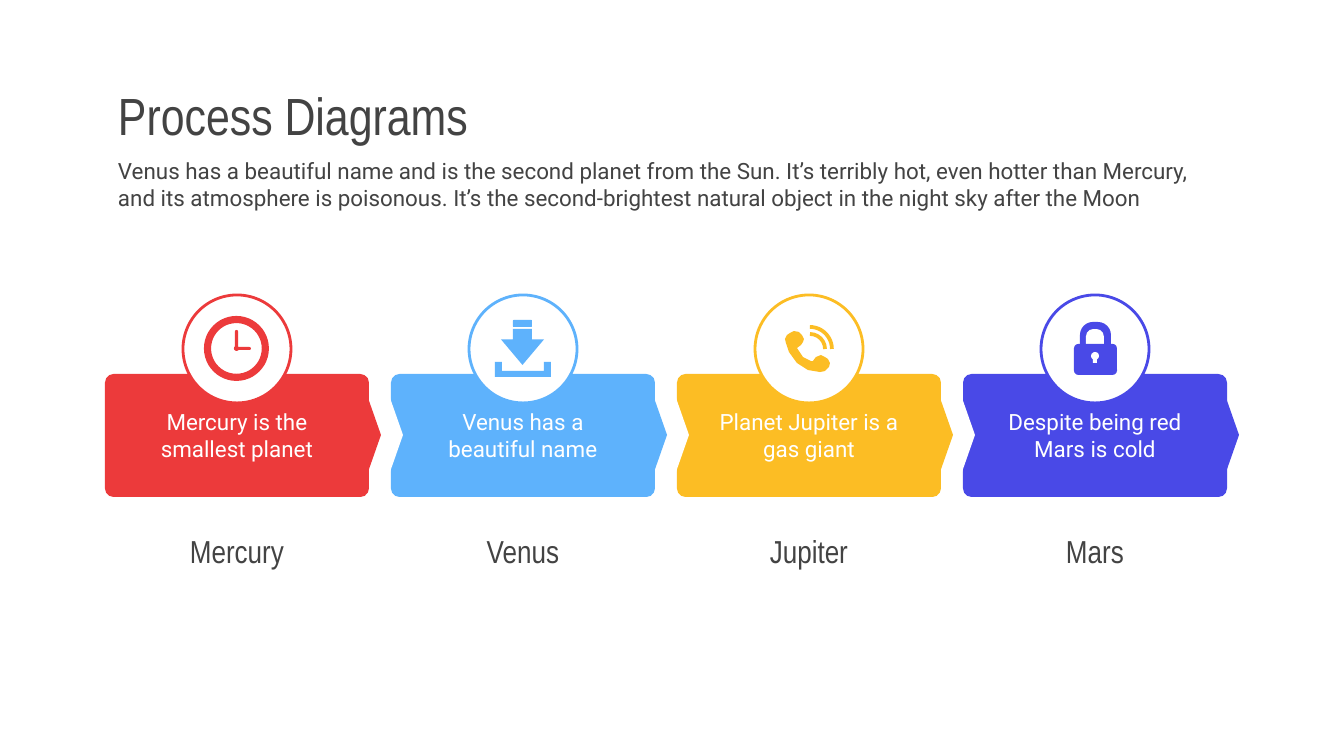
from pptx import Presentation
from pptx.dml.color import RGBColor
from pptx.enum.shapes import MSO_SHAPE as M
from pptx.enum.text import MSO_ANCHOR, PP_ALIGN
from pptx.util import Pt

PX = 914400 / 134.4
DARK, WHITE = "434343", "FFFFFF"
HEAD = {"name": "Arial Narrow", "size": Pt(28)}
LABEL = {"name": "Arial Narrow", "size": Pt(17)}
BODY = {"name": "Roboto", "size": Pt(12)}

prs = Presentation()
prs.slide_width, prs.slide_height = round(1344 * PX), round(756 * PX)
s = prs.slides.add_slide(prs.slide_layouts[6])


def draw(shapes, kind, box, fill, line=None, width=1.5, adj=()):
    """Add a preset shape, or a closed polygon when kind is a list of points."""
    if isinstance(kind, list):
        fb = shapes.build_freeform(*kind[0], scale=PX)
        fb.add_line_segments(kind[1:])
        sp = fb.convert_to_shape()
    else:
        sp = shapes.add_shape(kind, *[round(v * PX) for v in box])
    sp.shadow.inherit = False
    for i, a in enumerate(adj):
        sp.adjustments[i] = a
    if fill:
        sp.fill.solid()
        sp.fill.fore_color.rgb = RGBColor.from_string(fill)
    else:
        sp.fill.background()
    if line:
        sp.line.color.rgb = RGBColor.from_string(line)
        sp.line.width = Pt(width)
    else:
        sp.line.fill.background()
    return sp


def write(sp, text, font, color, align, side=13):
    tf = sp.text_frame
    frame = {"word_wrap": True, "vertical_anchor": MSO_ANCHOR.MIDDLE,
             "margin_left": round(side * PX), "margin_right": round(side * PX),
             "margin_top": round(13 * PX), "margin_bottom": round(13 * PX)}
    for name, value in frame.items():
        setattr(tf, name, value)
    p = tf.paragraphs[0]
    p.alignment = align
    r = p.add_run()
    r.text = text
    for name, value in font.items():
        setattr(r.font, name, value)
    r.font.color.rgb = RGBColor.from_string(color)


heading = [
    ("Process Diagrams", HEAD, 79),
    ("Venus has a beautiful name and is the second planet from the Sun. "
     "It’s terribly hot, even hotter than Mercury, and its atmosphere is poisonous. "
     "It’s the second-brightest natural object in the night sky after the Moon", BODY, 149),
]
for text, font, y in heading:
    sp = s.shapes.add_textbox(*[round(v * PX) for v in (105, y, 1136, 71)])
    write(sp, text, font, DARK, PP_ALIGN.LEFT)

# Icon parts: kind, box or points with x measured from the step's centre, style
clock = [
    (M.DONUT, (-33, 316, 65, 65), {"adj": [0.11]}),
    (M.ROUNDED_RECTANGLE, (-2, 330, 3, 20), {"adj": [0.5]}),
    (M.ROUNDED_RECTANGLE, (-2, 347, 16, 3), {"adj": [0.5]}),
    (M.OVAL, (-3, 346, 5, 5), {}),
]
download = [
    ([(-28, 362), (-21, 362), (-21, 371), (21, 371), (21, 362),
      (28, 362), (28, 377), (-28, 377)], None, {}),
    (M.ROUNDED_RECTANGLE, (-10, 320, 19, 7), {"adj": [0.1]}),
    (M.DOWN_ARROW, (-22, 329, 43, 36), {"adj": [0.44, 0.71]}),
]
phone = [
    ([(-15, 331), (-19, 333), (-22, 335), (-24, 339), (-23, 343), (-20, 352), (-12, 363),
      (-1, 370), (11, 372), (16, 371), (20, 367), (21, 363), (19, 359), (16, 357),
      (12, 355), (7, 357), (4, 361), (2, 361), (-6, 357), (-12, 348), (-8, 345),
      (-6, 342), (-5, 339), (-7, 335), (-10, 332)], None, {}),
    (M.ARC, (-21, 327, 44, 44), {"width": 2}),
    (M.ARC, (-14, 334, 30, 30), {"width": 2}),
]
lock = [
    (M.ROUND_2_SAME_RECTANGLE, (-15, 322, 31, 26), {"adj": [0.5, 0]}),
    (M.ROUND_2_SAME_RECTANGLE, (-9, 329, 18, 15), {"adj": [0.5, 0], "fill": WHITE}),
    (M.ROUNDED_RECTANGLE, (-21, 344, 43, 31), {"adj": [0.14]}),
    (M.OVAL, (-4, 352, 8, 8), {"fill": WHITE}),
    (M.RECTANGLE, (-2, 358, 4, 5), {"fill": WHITE}),
]

steps = [
    ("Mercury", "Mercury is the smallest planet", "EC3A3B", clock),
    ("Venus", "Venus has a beautiful name", "5EB2FC", download),
    ("Jupiter", "Planet Jupiter is a gas giant", "FCBD24", phone),
    ("Mars", "Despite being red Mars is cold", "4949E7", lock),
]
for i, (planet, text, color, icon) in enumerate(steps):
    x = 105 + 286 * i
    cx = x + 132
    shapes = s.shapes.add_group_shape().shapes
    card = draw(shapes, M.ROUNDED_RECTANGLE, (x, 374, 264, 123), color, adj=[0.07])
    write(card, text, BODY, WHITE, PP_ALIGN.CENTER, side=27)
    draw(shapes, M.OVAL, (cx - 54, 295, 108, 108), WHITE, color)
    points = [(x + 269, color)]
    if i:
        points.append((x + 5, WHITE))
    for mid, fill in points:
        sp = draw(shapes, M.ISOSCELES_TRIANGLE, (mid - 40, 428, 80, 14), fill)
        sp.rotation = 90
    for kind, box, style in icon:
        if box is None:
            draw(shapes, [(cx + px, py) for px, py in kind], None, color)
        elif kind == M.ARC:
            draw(shapes, kind, (cx + box[0], *box[1:]), None, color, **style)
        else:
            draw(shapes, kind, (cx + box[0], *box[1:]), **{"fill": color, **style})
    sp = shapes.add_textbox(*[round(v * PX) for v in (cx - 117, 519, 234, 63)])
    write(sp, planet, LABEL, DARK, PP_ALIGN.CENTER)

prs.save("out.pptx")
